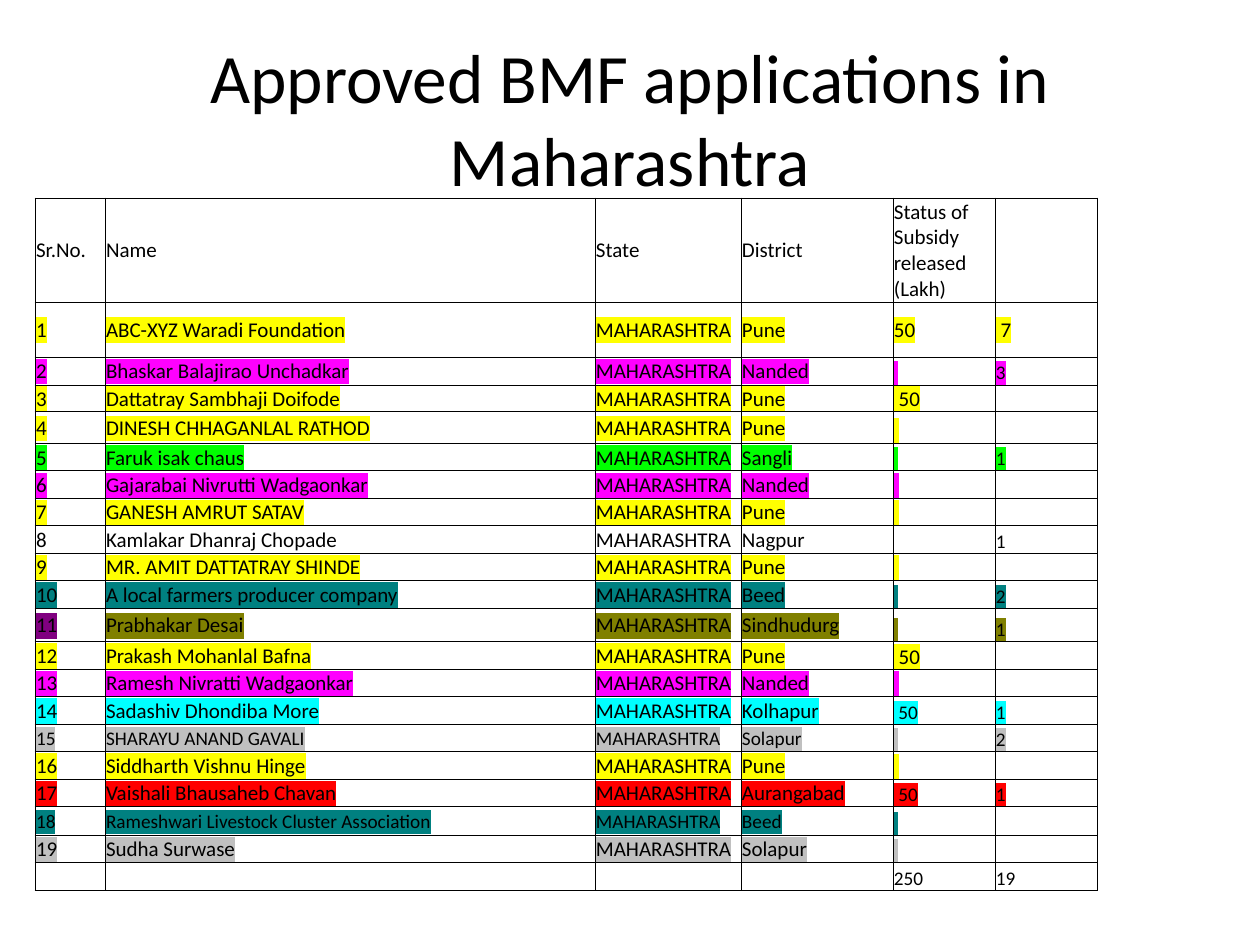
from lxml import etree
from pptx import Presentation
from pptx.dml.color import RGBColor
from pptx.enum.text import MSO_ANCHOR, PP_ALIGN
from pptx.oxml.ns import qn
from pptx.util import Pt

MIDDLE, BOTTOM = MSO_ANCHOR.MIDDLE, MSO_ANCHOR.BOTTOM
CENTER = PP_ALIGN.CENTER
PX = 914400 // 126
NBSP = " "  # no-break space
STATE = "MAHARASHTRA"

COLORS = {
    "black": "000000", "white": "FFFFFF", "yellow": "FFFF00",
    "magenta": "FF00FF", "lime": "00FF00", "teal": "008080",
    "purple": "800080", "olive": "808000", "cyan": "00FFFF",
    "silver": "C0C0C0", "red": "FF0000",
}

HEADINGS = ["Sr.No.", "Name", "State", "District",
            "Status of Subsidy released (Lakh)", ""]
# Name, district, subsidy, district count, highlight, main size, subsidy size
APPLICATIONS = [
    ("ABC-XYZ Waradi Foundation", "Pune", "50", NBSP + "7", "yellow", 12, 12),
    ("Bhaskar Balajirao Unchadkar", "Nanded", NBSP, "3", "magenta", 12, 11),
    ("Dattatray Sambhaji Doifode", "Pune", NBSP + "50", "", "yellow", 12, 12),
    ("DINESH CHHAGANLAL RATHOD", "Pune", NBSP, "", "yellow", 12, 12),
    ("Faruk isak chaus", "Sangli", NBSP, "1", "lime", 12, 11),
    ("Gajarabai Nivrutti Wadgaonkar", "Nanded", NBSP, "", "magenta", 12, 12),
    ("GANESH AMRUT SATAV", "Pune", NBSP, "", "yellow", 12, 12),
    ("Kamlakar Dhanraj Chopade", "Nagpur", "", "1", None, 12, 11),
    ("MR. AMIT DATTATRAY SHINDE", "Pune", NBSP, "", "yellow", 12, 12),
    ("A local farmers producer company", "Beed", NBSP, "2", "teal", 12, 11),
    ("Prabhakar Desai", "Sindhudurg", NBSP, "1", "olive", 12, 11),
    ("Prakash Mohanlal Bafna", "Pune", NBSP + "50", "", "yellow", 12, 12),
    ("Ramesh Nivratti Wadgaonkar", "Nanded", NBSP, "", "magenta", 12, 12),
    ("Sadashiv Dhondiba More", "Kolhapur", NBSP + "50", "1", "cyan", 12, 11),
    ("SHARAYU ANAND GAVALI", "Solapur", NBSP, "2", "silver", 11, 11),
    ("Siddharth Vishnu Hinge", "Pune", NBSP, "", "yellow", 12, 12),
    ("Vaishali Bhausaheb Chavan", "Aurangabad", NBSP + "50", "1", "red", 12, 11),
    ("Rameshwari Livestock Cluster Association", "Beed", NBSP, "", "teal", 11, 11),
    ("Sudha Surwase", "Solapur", NBSP, "", "silver", 12, 11),
]
TOTALS = ["", "", "", "", "250", "19"]

COLUMN_WIDTHS = [70, 490, 146, 152, 102, 102]
TALL_ROWS = {0: 104, 1: 55, 4: 32, 11: 33, 18: 29}
# Ordinary rows average 27.5 px
ROW_HEIGHTS = [TALL_ROWS.get(row, 27 + (row + 1) % 2)
               for row in range(len(APPLICATIONS) + 2)]


class SlideBuilder:
    font_name = "Calibri"
    cell_format = {"margin_left": PX, "margin_right": PX,
                   "margin_top": PX, "margin_bottom": 0}

    def __init__(self, slide):
        self.slide = slide

    def run(self, paragraph, text, size, highlight=None):
        run = paragraph.add_run()
        run.text = text
        for name, value in {"name": self.font_name, "size": Pt(size)}.items():
            setattr(run.font, name, value)
        run.font.color.rgb = RGBColor.from_string(COLORS["black"])
        if highlight:
            mark = etree.Element(qn("a:highlight"))
            etree.SubElement(mark, qn("a:srgbClr"), val=COLORS[highlight])
            run._r.get_or_add_rPr().find(qn("a:solidFill")).addnext(mark)

    def title(self, text, left, top, width, height, size):
        box = self.slide.shapes.add_textbox(
            *(length * PX for length in (left, top, width, height)))
        frame = box.text_frame
        frame.word_wrap = True
        frame.vertical_anchor = MIDDLE
        frame.paragraphs[0].alignment = CENTER
        self.run(frame.paragraphs[0], text, size)

    def table(self, left, top, widths, heights):
        table = self.slide.shapes.add_table(
            len(heights), len(widths), left * PX, top * PX,
            sum(widths) * PX, sum(heights) * PX).table
        table.first_row = table.horz_banding = False
        for column, width in zip(table.columns, widths):
            column.width = width * PX
        for row, height in zip(table.rows, heights):
            row.height = height * PX
        return table

    def cell(self, cell, text, size=12, highlight=None, anchor=MIDDLE):
        for name, value in self.cell_format.items():
            setattr(cell, name, value)
        cell.vertical_anchor = anchor
        paragraph = cell.text_frame.paragraphs[0]
        if text:
            self.run(paragraph, text, size, highlight)
        else:
            # An empty cell keeps the text size, so its row does not grow
            etree.SubElement(paragraph._p, qn("a:endParaRPr"), sz=str(size * 100))
        self.borders(cell)
        cell.fill.solid()
        cell.fill.fore_color.rgb = RGBColor.from_string(COLORS["white"])

    def borders(self, cell):
        properties = cell._tc.get_or_add_tcPr()
        for side in ("lnL", "lnR", "lnT", "lnB"):
            line = etree.SubElement(properties, qn("a:" + side), w=str(Pt(0.5)))
            fill = etree.SubElement(line, qn("a:solidFill"))
            etree.SubElement(fill, qn("a:srgbClr"), val=COLORS["black"])


def main():
    deck = Presentation()
    deck.slide_width, deck.slide_height = 1260 * PX, 945 * PX
    builder = SlideBuilder(deck.slides.add_slide(deck.slide_layouts[6]))

    # Title
    builder.title("Approved BMF applications in Maharashtra",
                  63, 38, 1134, 158, 39.6)

    # Table headings
    table = builder.table(35, 198, COLUMN_WIDTHS, ROW_HEIGHTS)
    for column, heading in enumerate(HEADINGS):
        builder.cell(table.cell(0, column), heading)

    # Applications
    for number, application in enumerate(APPLICATIONS, start=1):
        name, district, subsidy, count, color, main_size, subsidy_size = application
        texts = [str(number), name, STATE, district, subsidy, count]
        for column, text in enumerate(texts):
            is_subsidy = column >= 4
            builder.cell(
                table.cell(number, column), text,
                subsidy_size if is_subsidy else main_size,
                "purple" if (number, column) == (11, 0) else color,
                BOTTOM if is_subsidy and number > 1 else MIDDLE)

    # Totals
    for column, total in enumerate(TOTALS):
        builder.cell(table.cell(len(APPLICATIONS) + 1, column), total,
                     size=11, anchor=BOTTOM)

    deck.save("out.pptx")


if __name__ == "__main__":
    main()
